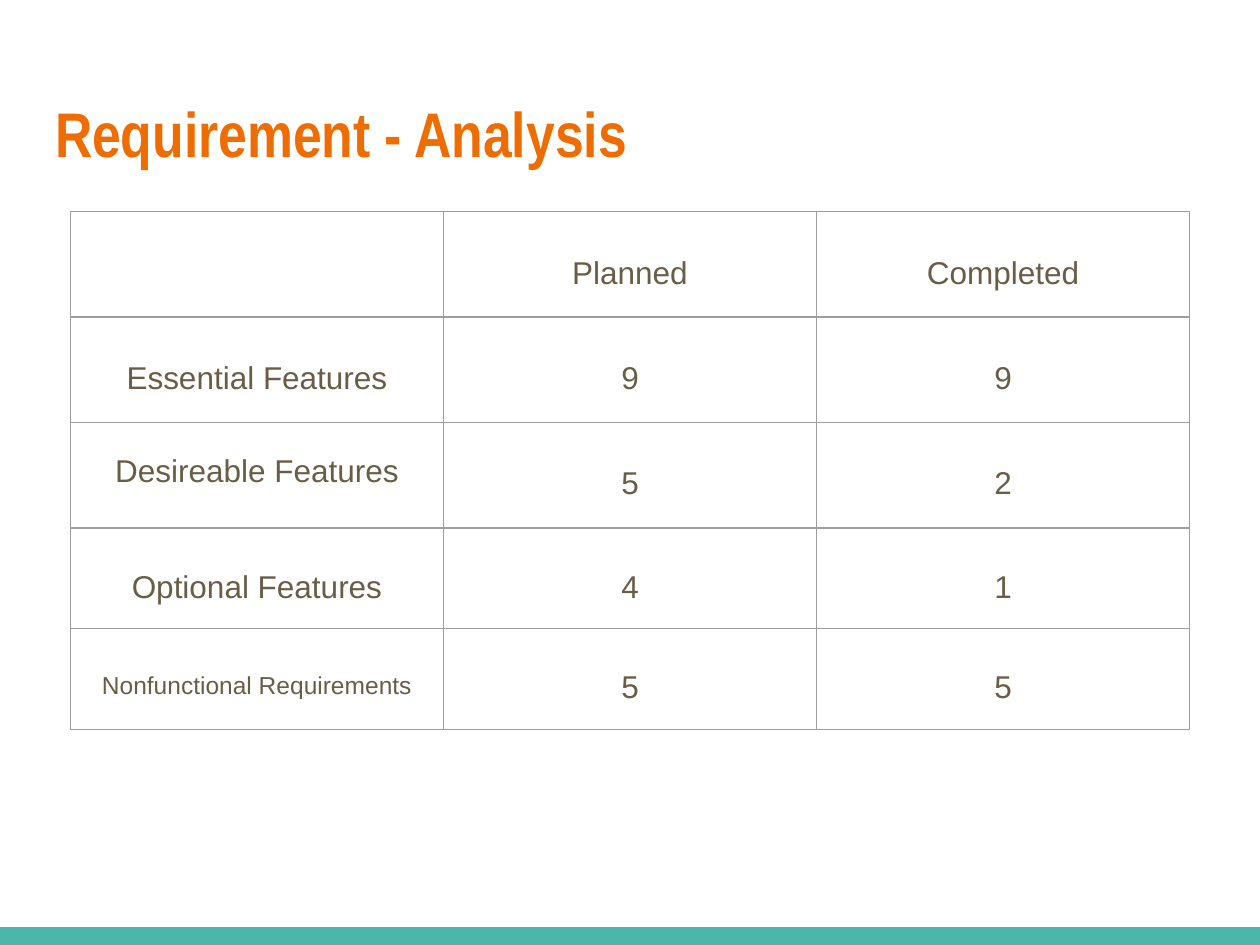
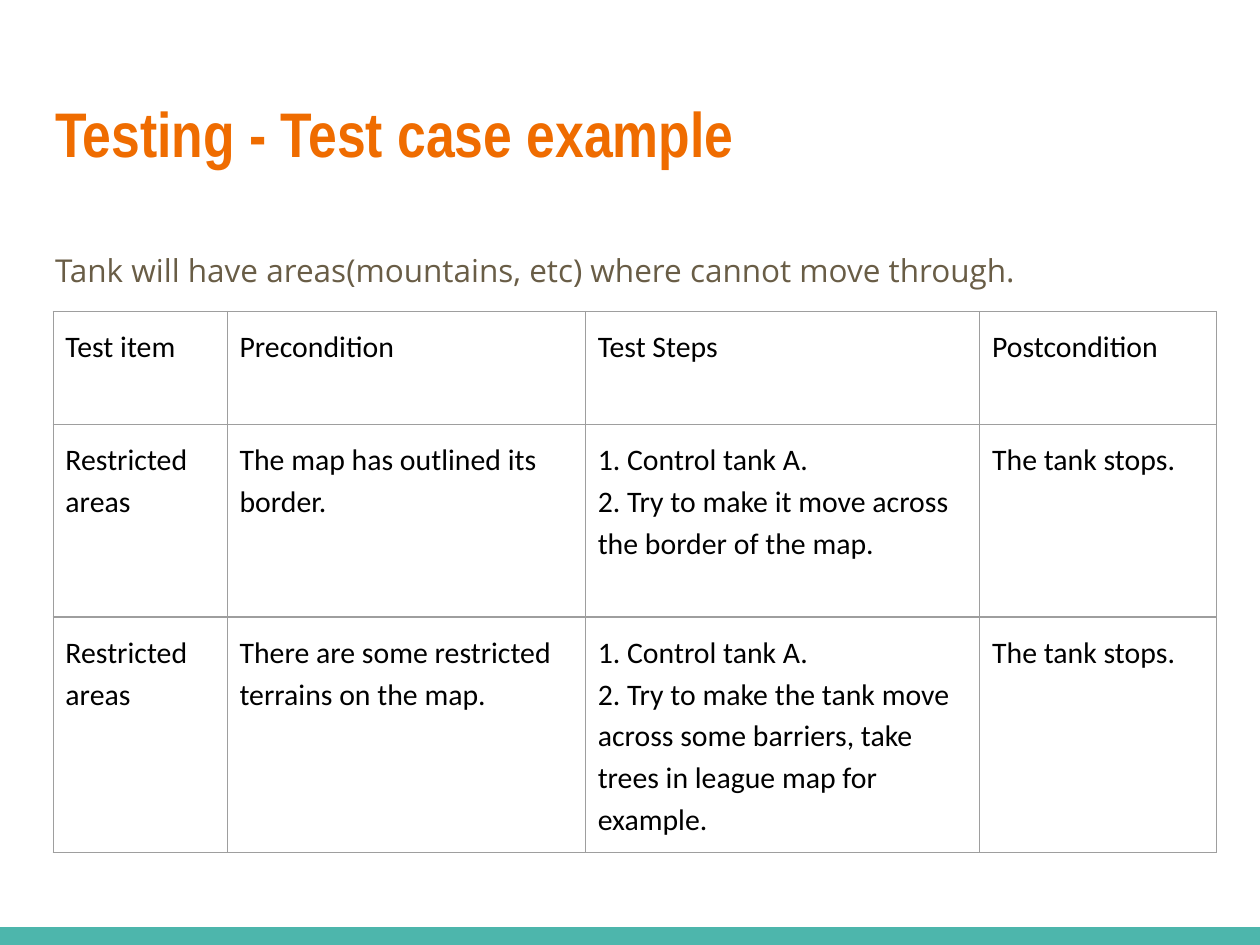
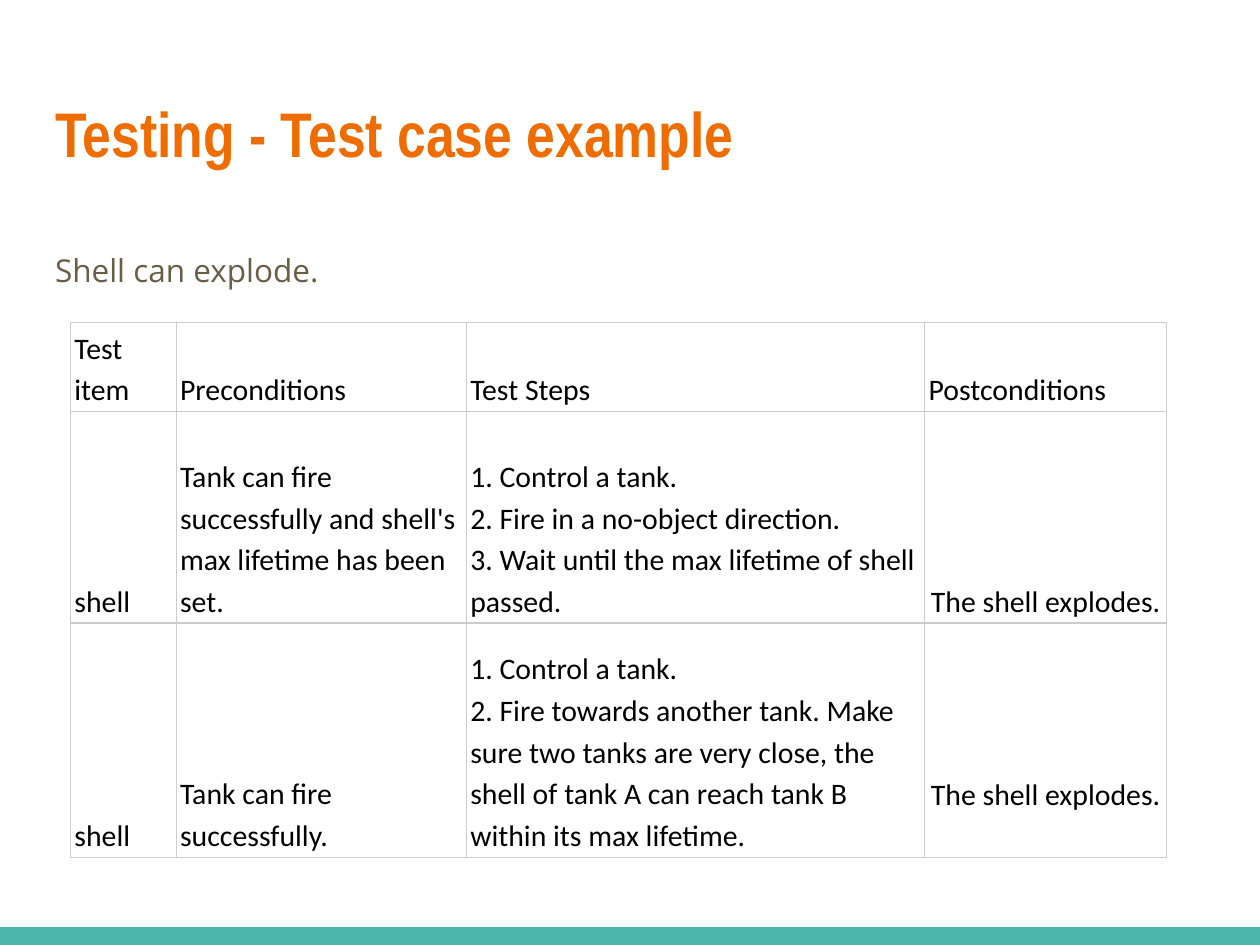
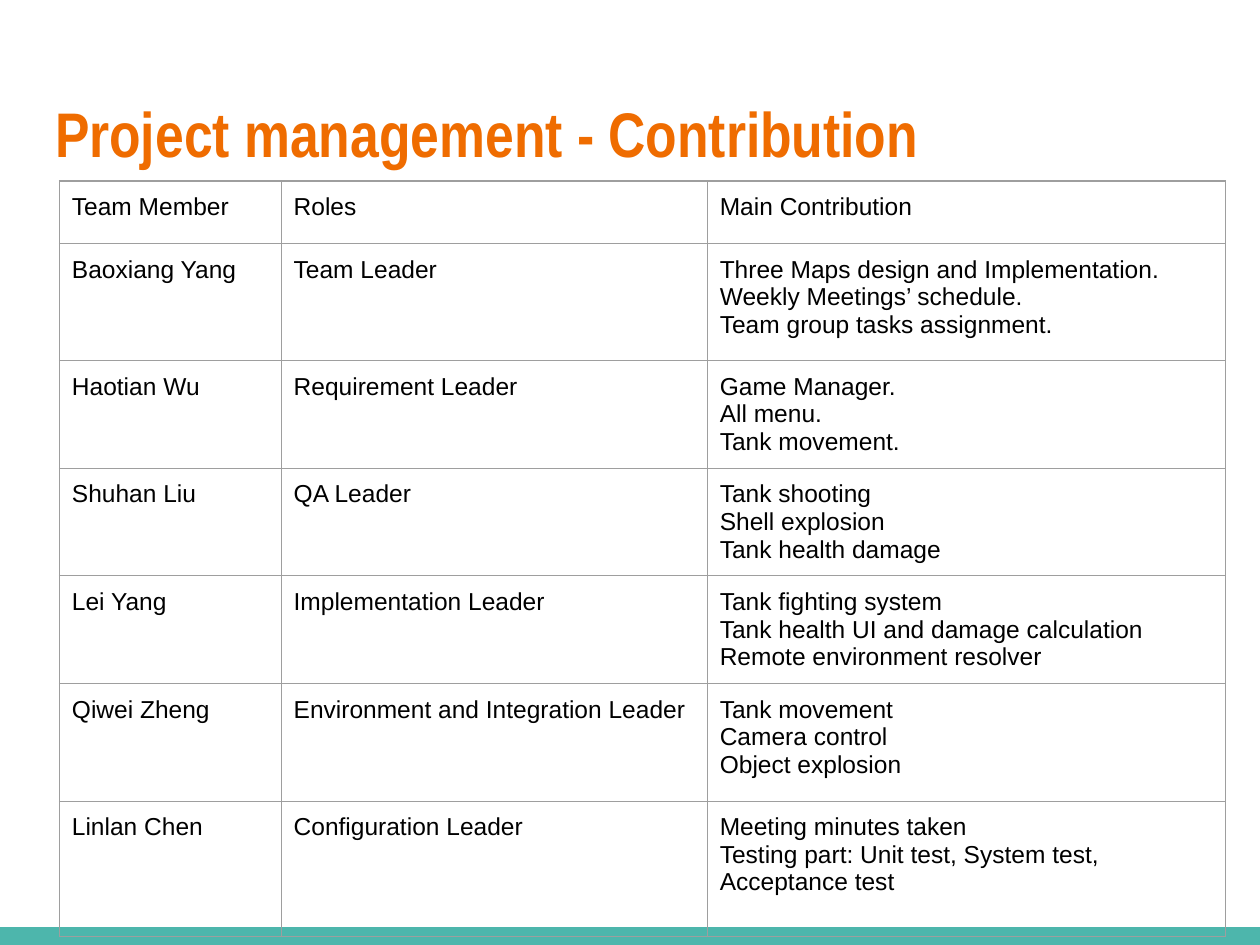
import pptx
import pptx.util
import pptx.dml.color
import pptx.enum.shapes
import pptx.enum.text
import pptx.oxml
import pptx.oxml.ns

Cm = pptx.util.Cm
Pt = pptx.util.Pt
ALIGN = pptx.enum.text.PP_ALIGN
ANCHOR = pptx.enum.text.MSO_ANCHOR

COLORS = {
    "page": "FFFFFF",
    "band": "4DB6AC",
    "title": "EF6C00",
    "brown": "695D46",
    "ink": "000000",
    "grid": "9E9E9E",
    "light_grid": "CCCCCC",
}

TITLE_FONT = {"name": "Arial Narrow", "size": Pt(36), "bold": True, "color": "title"}
BODY_FONT = {"name": "Open Sans", "size": Pt(18), "color": "brown"}
SUMMARY_FONT = {"name": "Arial", "size": Pt(18), "color": "brown"}
TEST_FONT = {"name": "Calibri", "size": Pt(17), "color": "ink"}
TEAM_FONT = {"name": "Arial", "size": Pt(14), "color": "ink"}

SINGLE = {}
LOOSE = {"line_spacing": 1.15}
BODY_PARA = {"line_spacing": 1.15, "space_after": Pt(16)}
CENTERED = {"line_spacing": 1.5, "alignment": ALIGN.CENTER}


def margins(side, top, bottom):
    return {
        "margin_left": Cm(side),
        "margin_right": Cm(side),
        "margin_top": Cm(top),
        "margin_bottom": Cm(bottom),
    }


ROOMY = margins(0.25, 0.25, 0.25)
COMPACT = margins(0.25, 0.25, 0.1)
TIGHT = margins(0.08, 0.05, 0.05)

REQUIREMENTS = [
    ["", "Planned", "Completed"],
    ["Essential Features", "9", "9"],
    ["Desireable Features", "5", "2"],
    ["Optional Features", "4", "1"],
    ["Nonfunctional Requirements", "5", "5"],
]

AREA_TESTS = [
    ["Test item", "Precondition", "Test Steps", "Postcondition"],
    [
        "Restricted areas",
        "The map has outlined its border.",
        "1. Control tank A.\n2. Try to make it move across the border of the map.",
        "The tank stops.",
    ],
    [
        "Restricted areas",
        "There are some restricted terrains on the map.",
        "1. Control tank A.\n2. Try to make the tank move across some barriers, "
        "take trees in league map for example.",
        "The tank stops.",
    ],
]

SHELL_TESTS = [
    ["Test item", "Preconditions", "Test Steps", "Postconditions"],
    [
        "shell",
        "Tank can fire successfully and shell's max lifetime has been set.",
        "1. Control a tank.\n2. Fire in a no-object direction.\n"
        "3. Wait until the max lifetime of shell passed.",
        "The shell explodes.",
    ],
    [
        "shell",
        "Tank can fire successfully.",
        "1. Control a tank.\n2. Fire towards another tank. Make sure two tanks are very "
        "close, the shell of tank A can reach tank B within its max lifetime.",
        "The shell explodes.",
    ],
]

TEAM = [
    ["Team Member", "Roles", "Main Contribution"],
    [
        "Baoxiang Yang",
        "Team Leader",
        "Three Maps design and Implementation.\nWeekly Meetings’ schedule.\n"
        "Team group tasks assignment.",
    ],
    ["Haotian Wu", "Requirement Leader", "Game Manager.\nAll menu.\nTank movement."],
    ["Shuhan Liu", "QA Leader", "Tank shooting\nShell explosion\nTank health damage"],
    [
        "Lei Yang",
        "Implementation Leader",
        "Tank fighting system\nTank health UI and damage calculation\n"
        "Remote environment resolver",
    ],
    [
        "Qiwei Zheng",
        "Environment and Integration Leader",
        "Tank movement\nCamera control\nObject explosion",
    ],
    [
        "Linlan Chen",
        "Configuration Leader",
        "Meeting minutes taken\nTesting part: Unit test, System test, Acceptance test",
    ],
]


def rgb(color):
    return pptx.dml.color.RGBColor.from_string(COLORS[color])


def apply(target, values):
    for name, value in values.items():
        if name == "color":
            target.color.rgb = rgb(value)
        else:
            setattr(target, name, value)


def write(frame, text, font, layout):
    for index, line in enumerate(text.split("\n")):
        para = frame.add_paragraph() if index else frame.paragraphs[0]
        apply(para, layout)
        span = para.add_run()
        span.text = line
        apply(span.font, font)


def add_text(page, text, top, height, font, layout):
    box = page.shapes.add_textbox(Cm(0.86), Cm(top), Cm(23.67), Cm(height))
    apply(box.text_frame, {"word_wrap": True, "vertical_anchor": ANCHOR.TOP, **ROOMY})
    write(box.text_frame, text, font, layout)


def add_page(deck, title):
    page = deck.slides.add_slide(deck.slide_layouts[6])
    page.background.fill.solid()
    page.background.fill.fore_color.rgb = rgb("page")
    band = page.shapes.add_shape(
        pptx.enum.shapes.MSO_SHAPE.RECTANGLE, 0, Cm(18.69), deck.slide_width, Cm(0.36)
    )
    band.shadow.inherit = False
    band.fill.solid()
    band.fill.fore_color.rgb = rgb("band")
    band.line.fill.background()
    add_text(page, title, 1.65, 2.62, TITLE_FONT, SINGLE)
    return page


def add_borders(cell, color):
    properties = cell._tc.get_or_add_tcPr()
    for side in ("lnL", "lnR", "lnT", "lnB"):
        properties.append(pptx.oxml.parse_xml(
            f'<a:{side} {pptx.oxml.ns.nsdecls("a")} w="{Pt(0.75)}"><a:solidFill>'
            f'<a:srgbClr val="{COLORS[color]}"/></a:solidFill></a:{side}>'
        ))


def add_grid(page, rows, left, top, widths, heights, font, layout,
             padding=ROOMY, anchor=ANCHOR.TOP, border="grid"):
    table = page.shapes.add_table(
        len(rows), len(widths), Cm(left), Cm(top), Cm(sum(widths)), Cm(sum(heights))
    ).table
    apply(table, {"first_row": False, "horz_banding": False})
    for column, width in zip(table.columns, widths):
        column.width = Cm(width)
    for row, height, texts in zip(table.rows, heights, rows):
        row.height = Cm(height)
        for cell, text in zip(row.cells, texts):
            apply(cell, {"vertical_anchor": anchor, **padding})
            add_borders(cell, border)
            cell.fill.background()
            if text:
                write(cell.text_frame, text, font, layout)
    return table


def add_requirements(deck):
    page = add_page(deck, "Requirement - Analysis")
    table = add_grid(page, REQUIREMENTS, 1.42, 4.27, [7.52] * 3, [2.12] * 3 + [2.03] * 2,
                     SUMMARY_FONT, CENTERED, anchor=ANCHOR.MIDDLE)
    table.cell(2, 0).margin_bottom = Cm(0.74)
    table.cell(4, 0).text_frame.paragraphs[0].runs[0].font.size = Pt(14)


def add_test_page(deck, summary):
    page = add_page(deck, "Testing - Test case example")
    add_text(page, summary, 4.7, 12.24, BODY_FONT, BODY_PARA)
    return page


def add_area_tests(deck):
    page = add_test_page(
        deck, "Tank will have areas(mountains, etc) where cannot move through."
    )
    add_grid(page, AREA_TESTS, 1.07, 6.28, [3.51, 7.22, 7.95, 4.78], [2.28, 3.88, 4.75],
             TEST_FONT, LOOSE)


def add_shell_tests(deck):
    page = add_test_page(deck, "Shell can explode.")
    table = add_grid(page, SHELL_TESTS, 1.42, 6.5, [2.13, 5.85, 9.24, 4.88],
                     [1.79, 4.27, 4.72], TEST_FONT, LOOSE, TIGHT, ANCHOR.BOTTOM, "light_grid")
    for row in (1, 2):
        table.cell(row, 3).text_frame.paragraphs[0].alignment = ALIGN.CENTER
    table.cell(2, 3).margin_bottom = Cm(0.89)


def add_team(deck):
    page = add_page(deck, "Project management - Contribution")
    add_grid(page, TEAM, 1.2, 3.65, [4.47, 8.59, 10.44],
             [1.26, 2.36] + [2.17] * 3 + [2.37, 2.72], TEAM_FONT, SINGLE, COMPACT)


def main():
    deck = pptx.Presentation()
    apply(deck, {"slide_width": Cm(25.4), "slide_height": Cm(19.05)})
    add_requirements(deck)
    add_area_tests(deck)
    add_shell_tests(deck)
    add_team(deck)
    deck.save("out.pptx")


if __name__ == "__main__":
    main()
